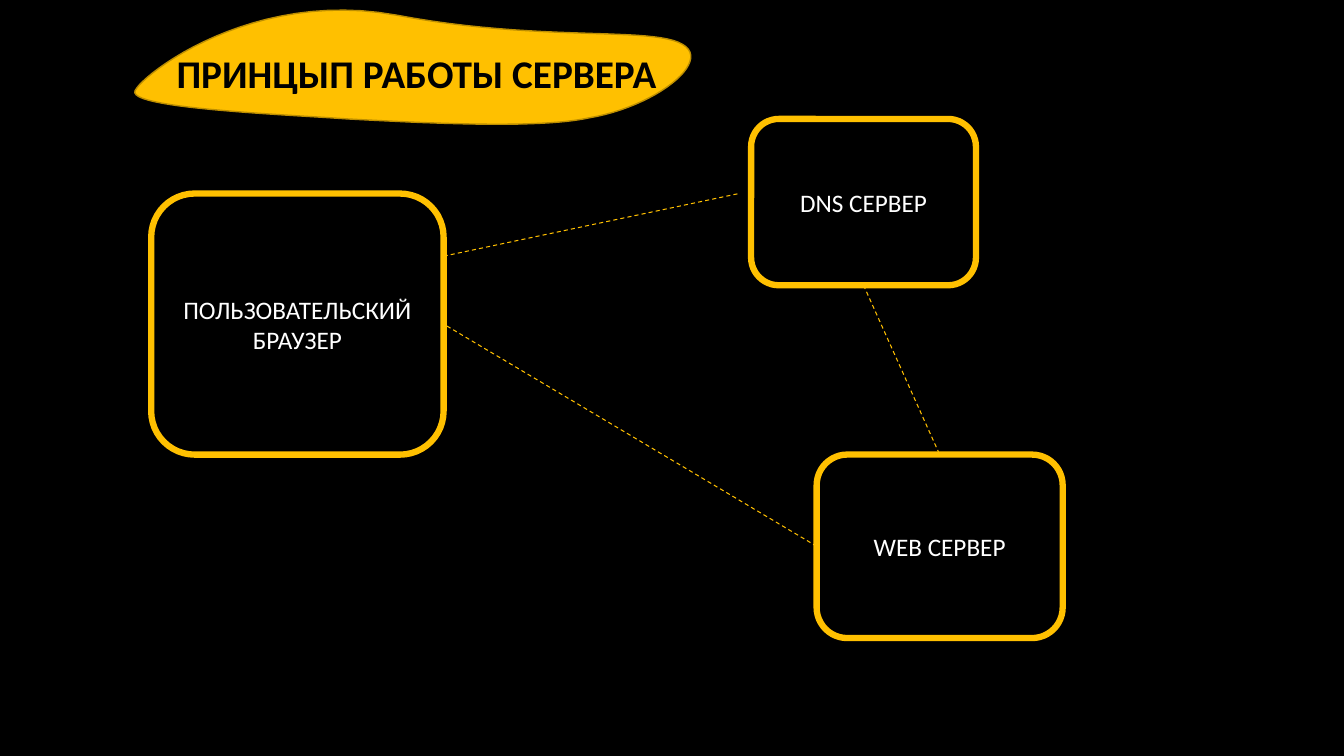
import pptx
import pptx.util
import pptx.dml.color
import pptx.enum.dml
import pptx.enum.shapes
import pptx.enum.text
import pptx.oxml.ns
import lxml.etree

Inches = pptx.util.Inches
GOLD, BLACK, WHITE = "FFC000", "000000", "FFFFFF"
BLOB_START = (0, 0.8)
BLOB_CURVES = [
    ((0.08, 0.63), (1.17, -0.21), (2.59, 0.05)),
    ((4.02, 0.32), (5.13, 0.16), (5.43, 0.34)),
    ((5.73, 0.51), (5.16, 0.96), (4.5, 1.07)),
    ((4, 1.18), (2.86, 1.12), (2.11, 1.08)),
    ((1.36, 1.03), (-0.08, 0.97), BLOB_START),
]
NODES = {
    "browser": ("ПОЛЬЗОВАТЕЛЬСКИЙ БРАУЗЕР", (1.5, 1.92, 2.9, 2.59)),
    "dns": ("DNS СЕРВЕР", (7.45, 1.18, 2.23, 1.65)),
    "web": ("WEB СЕРВЕР", (8.1, 4.51, 2.44, 1.82)),
}


def rgb(value):
    return pptx.dml.color.RGBColor.from_string(value)


def set_fill(fill, color):
    fill.solid()
    fill.fore_color.rgb = rgb(color)


def set_line(sp, color, width):
    sp.line.color.rgb = rgb(color)
    sp.line.width = pptx.util.Pt(width)


def set_text(sp, text, color, size, bold, anchor, spacing=1.0):
    tf = sp.text_frame
    tf.word_wrap = True
    tf.vertical_anchor = anchor
    p = tf.paragraphs[0]
    p.alignment = pptx.enum.text.PP_ALIGN.CENTER
    p.line_spacing = spacing
    r = p.add_run()
    r.text = text
    for name, value in {"name": "Calibri", "size": pptx.util.Pt(size), "bold": bold}.items():
        setattr(r.font, name, value)
    r.font.color.rgb = rgb(color)


def curve_points(start, curves, steps=24):
    points = []
    for c1, c2, end in curves:
        for i in range(1, steps + 1):
            t = i / steps
            weights = ((1 - t) ** 3, 3 * t * (1 - t) ** 2, 3 * t * t * (1 - t), t ** 3)
            points.append(tuple(
                sum(w * q[axis] for w, q in zip(weights, (start, c1, c2, end)))
                for axis in (0, 1)
            ))
        start = end
    return points


def add_title(s, text, left, top):
    def place(point):
        return Inches(left + point[0]), Inches(top + point[1])

    builder = s.shapes.build_freeform(*place(BLOB_START))
    builder.add_line_segments([place(q) for q in curve_points(BLOB_START, BLOB_CURVES)])
    blob = builder.convert_to_shape()
    blob.shadow.inherit = False
    set_fill(blob.fill, GOLD)
    set_line(blob, "BD8E00", 1)
    box = s.shapes.add_textbox(*place((0.02, 0.39)), Inches(5.54), Inches(0.52))
    set_text(box, text, BLACK, 28, True, pptx.enum.text.MSO_ANCHOR.BOTTOM, 0.9)


def add_node(s, text, box):
    sp = s.shapes.add_shape(
        pptx.enum.shapes.MSO_SHAPE.ROUNDED_RECTANGLE, *map(Inches, box))
    sp.shadow.inherit = False
    sp.fill.background()
    set_line(sp, GOLD, 4.5)
    set_text(sp, text, WHITE, 18, False, pptx.enum.text.MSO_ANCHOR.MIDDLE)


def point_on(node, fx, fy):
    left, top, width, height = NODES[node][1]
    return left + fx * width, top + fy * height


def add_link(s, start, end):
    line = s.shapes.add_connector(
        pptx.enum.shapes.MSO_CONNECTOR.STRAIGHT, *map(Inches, start + end))
    set_line(line, GOLD, 0.75)
    line.line.dash_style = pptx.enum.dml.MSO_LINE.DASH
    lxml.etree.SubElement(line._element.spPr, pptx.oxml.ns.qn("a:effectLst"))


def build_server_slide(prs):
    s = prs.slides.add_slide(prs.slide_layouts[6])
    set_fill(s.background.fill, BLACK)
    add_title(s, "ПРИНЦЫП РАБОТЫ СЕРВЕРА", 1.34, 0.1)
    for text, box in NODES.values():
        add_node(s, text, box)
    add_link(s, point_on("browser", 1, 0.24), (7.33, 1.92))
    add_link(s, point_on("dns", 0.5, 1), point_on("web", 0.5, 0))
    add_link(s, point_on("web", 0, 0.5), point_on("browser", 1, 0.5))


def main():
    prs = pptx.Presentation()
    prs.slide_width, prs.slide_height = Inches(13.33), Inches(7.5)
    build_server_slide(prs)
    prs.save("out.pptx")


if __name__ == "__main__":
    main()
